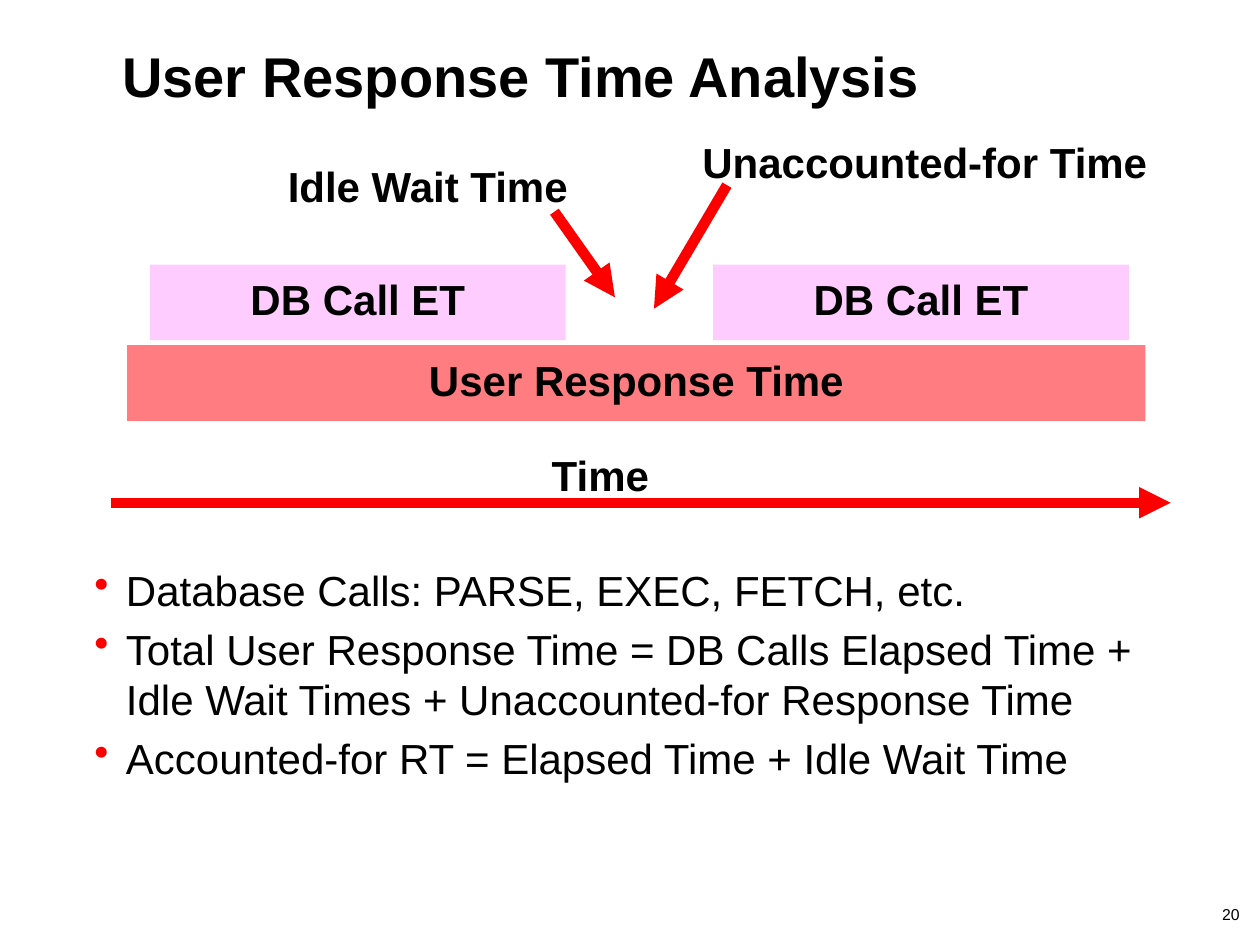
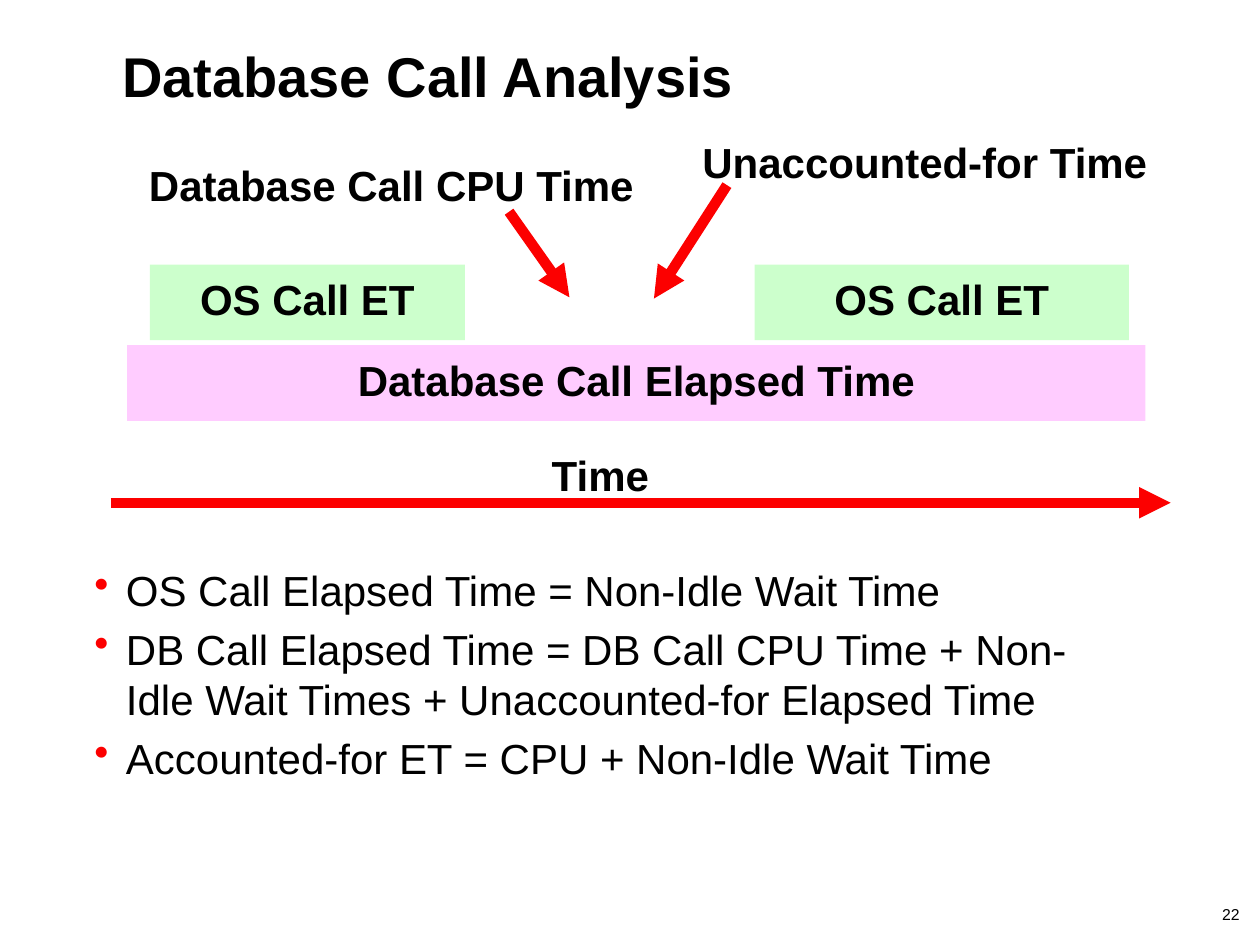
from dataclasses import dataclass

from lxml.etree import SubElement as Sub
from pptx import Presentation as Deck
from pptx.dml.color import RGBColor as Rgb
from pptx.enum.shapes import MSO_CONNECTOR as Link, MSO_SHAPE as Form
from pptx.enum.text import MSO_ANCHOR as Anchor, PP_ALIGN as Align
from pptx.oxml.ns import qn
from pptx.slide import Slide
from pptx.text.text import TextFrame as Frame
from pptx.util import Pt

# Shared look
FONT = "Arial"
BLACK, RED, CORAL = "000000", "FC0000", "FF7C80"
PINK, GREEN = "FFCCFF", "CCFFCC"
BODY = 24
INDENT = 18
BAR_H = 43.2
CALL_L, CALL_R = 85.7, 645.1  # outer edges of the two call bars


@dataclass
class Label:
    text: str
    x: float
    y: float
    w: float


@dataclass
class Arrow:
    x1: float
    y1: float
    x2: float
    y2: float


@dataclass
class Bar:
    text: str
    x: float
    y: float
    w: float
    fill: str


@dataclass
class Page:
    title: str
    number: str
    total: Bar
    call: str
    widths: tuple[float, float]
    fill: str
    cause: Label
    arrows: list[Arrow]
    points: list[str]


def color(code: str) -> Rgb:
    return Rgb.from_string(code)


def write(frame: Frame, lines: list[str], size: float = BODY,
          bold: bool = False, align: Align = Align.LEFT,
          pitch: float | None = None) -> None:
    frame.word_wrap = True
    for i, line in enumerate(lines):
        para = frame.add_paragraph() if i else frame.paragraphs[0]
        para.text = line
        para.alignment = align
        para.line_spacing = pitch
        font = para.font
        font.name, font.size, font.bold = FONT, Pt(size), bold
        font.color.rgb = color(BLACK)


def add_box(slide: Slide, x: float, y: float, w: float, h: float,
            inset: bool = False) -> Frame:
    frame = slide.shapes.add_textbox(Pt(x), Pt(y), Pt(w), Pt(h)).text_frame
    if not inset:
        frame.margin_left = frame.margin_right = 0
        frame.margin_top = frame.margin_bottom = 0
    return frame


def add_label(slide: Slide, label: Label) -> None:
    frame = add_box(slide, label.x, label.y, label.w, 33.1, inset=True)
    write(frame, [label.text], bold=True, align=Align.CENTER, pitch=0.9)


def add_bar(slide: Slide, bar: Bar) -> None:
    shape = slide.shapes.add_shape(
        Form.RECTANGLE, Pt(bar.x), Pt(bar.y), Pt(bar.w), Pt(BAR_H))
    shape.shadow.inherit = False
    shape.fill.solid()
    shape.fill.fore_color.rgb = color(bar.fill)
    shape.line.fill.background()
    shape.text_frame.vertical_anchor = Anchor.MIDDLE
    write(shape.text_frame, [bar.text], bold=True, align=Align.CENTER,
          pitch=0.9)


def add_arrow(slide: Slide, arrow: Arrow) -> None:
    link = slide.shapes.add_connector(
        Link.STRAIGHT, Pt(arrow.x1), Pt(arrow.y1), Pt(arrow.x2), Pt(arrow.y2))
    link.line.color.rgb = color(RED)
    link.line.width = Pt(6)
    Sub(link.line._get_or_add_ln(), qn("a:tailEnd"), type="triangle")
    Sub(link._element.spPr, qn("a:effectLst"))


def add_list(slide: Slide, points: list[str]) -> None:
    frame = add_box(slide, 54, 322.6, 593.3, 156.2)
    write(frame, points)
    for para in frame.paragraphs:
        para.space_before = Pt(BODY * 0.2)
        props = para._p.get_or_add_pPr()
        props.set("marL", str(Pt(INDENT)))
        props.set("indent", str(-Pt(INDENT)))
        # Bullet marks go before the default run settings
        mark = Sub(props, qn("a:buClr"))
        Sub(mark, qn("a:srgbClr"), val=RED)
        sign = Sub(props, qn("a:buChar"), char="•")
        props.find(qn("a:defRPr")).addprevious(mark)
        mark.addnext(sign)


def add_page(deck: Deck, page: Page) -> None:
    slide = deck.slides.add_slide(deck.slide_layouts[6])

    # Title and page number
    write(add_box(slide, 69.8, 23.8, 596.9, 74.2), [page.title], 32, True)
    foot = add_box(slide, 12.2, 516.2, 696.2, 12.2)
    foot.vertical_anchor = Anchor.MIDDLE
    write(foot, [page.number], 9, align=Align.RIGHT)

    # Total time with the calls inside it
    add_bar(slide, page.total)
    left, right = page.widths
    for x, w in ((CALL_L, left), (CALL_R - right, right)):
        add_bar(slide, Bar(page.call, x, 151.2, w, page.fill))

    # Time axis
    add_arrow(slide, Arrow(63.4, 287.3, 668.9, 287.3))
    add_label(slide, Label("Time", 213.1, 256.3, 259.9))

    # What fills the gap between the calls
    add_label(slide, page.cause)
    add_label(slide, Label("Unaccounted-for Time", 385.9, 77.8, 285.1))
    for arrow in page.arrows:
        add_arrow(slide, arrow)

    add_list(slide, page.points)


PAGES = [
    Page("User Response Time Analysis", "20",
         Bar("User Response Time", 72.7, 197.3, 581.8, CORAL),
         "DB Call ET", (237.6, 237.6), PINK,
         Label("Idle Wait Time", 144, 91.4, 200.9),
         [Arrow(316.8, 121, 351.4, 169.9), Arrow(415.4, 105.8, 373.7, 176.4)],
         ["Database Calls: PARSE, EXEC, FETCH, etc.",
          "Total User Response Time = DB Calls Elapsed Time + "
          "Idle Wait Times + Unaccounted-for Response Time",
          "Accounted-for RT = Elapsed Time + Idle Wait Time"]),
    Page("Database Call Analysis", "22",
         Bar("Database Call Elapsed Time", 72.7, 197.3, 581.8, PINK),
         "OS Call ET", (180, 213.8), GREEN,
         Label("Database Call CPU Time", 52.6, 90.7, 342),
         [Arrow(290.9, 121, 325.4, 169.9), Arrow(415.4, 105.8, 373.7, 170.6)],
         ["OS Call Elapsed Time = Non-Idle Wait Time",
          "DB Call Elapsed Time = DB Call CPU Time + "
          "Non-Idle Wait Times + Unaccounted-for Elapsed Time",
          "Accounted-for ET = CPU + Non-Idle Wait Time"]),
]

deck = Deck()
deck.slide_width, deck.slide_height = Pt(720), Pt(540)
for page in PAGES:
    add_page(deck, page)
deck.save("out.pptx")
